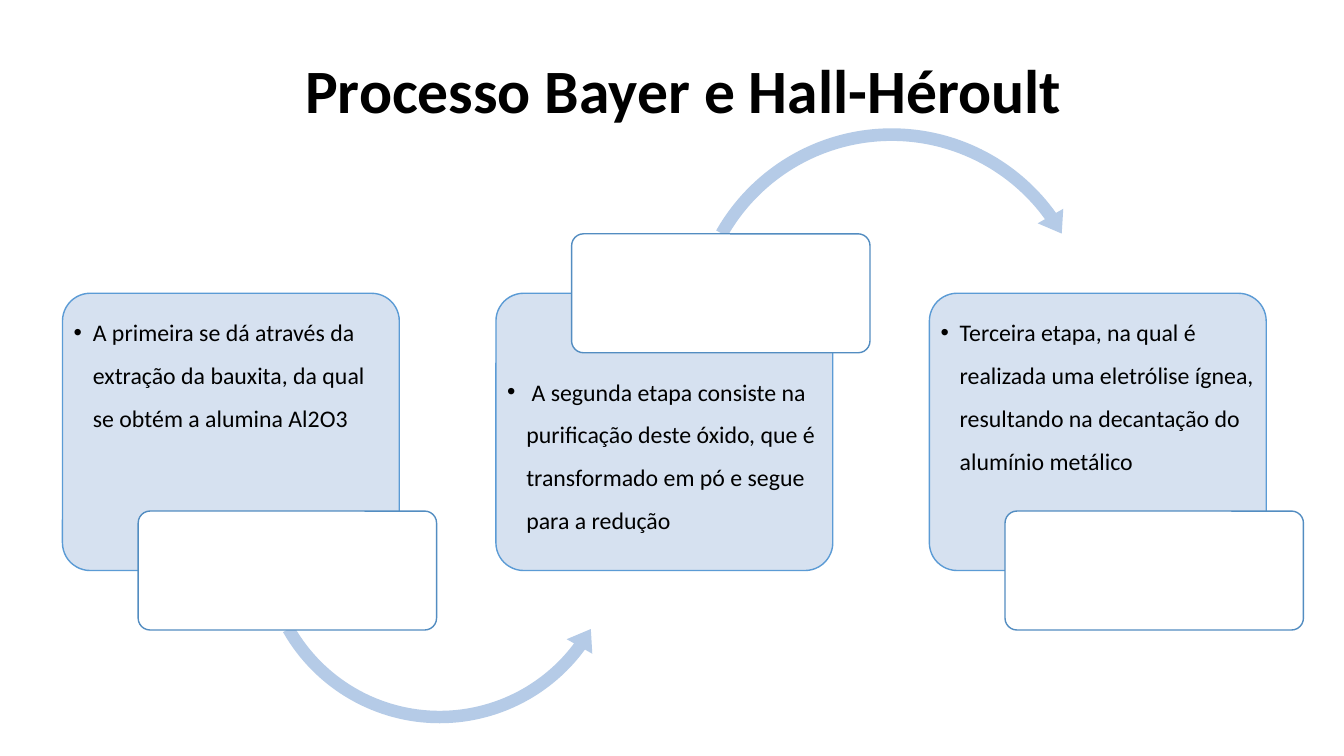
from dataclasses import dataclass

from lxml import etree
from pptx import Presentation
from pptx.dml.color import RGBColor
from pptx.enum.shapes import MSO_SHAPE
from pptx.enum.text import MSO_ANCHOR, PP_ALIGN
from pptx.oxml.ns import qn
from pptx.util import Inches, Pt

ROUNDED = MSO_SHAPE.ROUNDED_RECTANGLE
CLOCKWISE = MSO_SHAPE.CIRCULAR_ARROW
COUNTERCLOCKWISE = MSO_SHAPE.LEFT_CIRCULAR_ARROW
TOP, MIDDLE = MSO_ANCHOR.TOP, MSO_ANCHOR.MIDDLE
LEFT, CENTER = PP_ALIGN.LEFT, PP_ALIGN.CENTER

# The slide is a grid of 100 columns by 100 rows
SLIDE_WIDTH, SLIDE_HEIGHT = Inches(13.33), Inches(7.5)
FIRST_CARD, CARD_PITCH = 4.65, 32.25
CORNER = 0.1


@dataclass(frozen=True)
class Theme:
    font: str = "Calibri"
    text: str = "000000"
    card: str = "D2DEEF"
    card_line: str = "5B9BD5"
    label: str = "FFFFFF"
    label_line: str = "538DC1"
    arrow: str = "B5CBE7"
    card_opacity: int = 90
    title_size: int = 44
    body_size: int = 17
    line_width: int = 1


@dataclass(frozen=True)
class Box:
    column: float
    row: float
    columns: float
    rows: float

    def lengths(self) -> tuple[int, int, int, int]:
        return (int(SLIDE_WIDTH * self.column / 100),
                int(SLIDE_HEIGHT * self.row / 100),
                int(SLIDE_WIDTH * self.columns / 100),
                int(SLIDE_HEIGHT * self.rows / 100))


@dataclass(frozen=True)
class Arrow:
    kind: int
    box: Box
    thickness: float  # percent of the side
    head_angle: float  # degrees, like the two ends
    end_angle: float
    start_angle: float
    head_width: float  # percent of the side

    def adjustments(self) -> list[float]:
        angles = (self.head_angle, self.end_angle, self.start_angle)
        return [self.thickness / 100, *(angle * 0.6 for angle in angles),
                self.head_width / 100]


@dataclass(frozen=True)
class Step:
    text: str
    label_on_top: bool = False
    arrow: Arrow | None = None


THEME = Theme()
TITLE = "Processo Bayer e Hall-Héroult"
STEPS = (
    Step("A primeira se dá através da extração da bauxita, da qual se obtém "
         "a alumina Al2O3",
         arrow=Arrow(COUNTERCLOCKWISE, Box(18.68, 46.93, 28.06, 49.87),
                     3.3, 6.85, 36.44, 150.41, 3.9)),
    Step(" A segunda etapa consiste na purificação deste óxido, que é "
         "transformado em pó e segue para a redução",
         label_on_top=True,
         arrow=Arrow(CLOCKWISE, Box(50.71, 15.87, 31.28, 55.6),
                     3, 6.1, 324.31, 209.59, 3.5)),
    Step("Terceira etapa, na qual é realizada uma eletrólise ígnea, "
         "resultando na decantação do alumínio metálico"),
)


def set_values(target, values: dict) -> None:
    for name, value in values.items():
        setattr(target, name, value)


def add_figure(slide, kind: int, box: Box, adjustments: list[float],
               fill: str, line: str | None = None, opacity: int = 100) -> None:
    shape = slide.shapes.add_shape(kind, *box.lengths())
    shape.shadow.inherit = False
    for index, value in enumerate(adjustments):
        shape.adjustments[index] = value
    shape.fill.solid()
    shape.fill.fore_color.rgb = RGBColor.from_string(fill)
    if opacity < 100:
        color = shape._element.spPr.find(f"{qn('a:solidFill')}/{qn('a:srgbClr')}")
        etree.SubElement(color, qn("a:alpha"), val=str(opacity * 1000))
    if line:
        shape.line.color.rgb = RGBColor.from_string(line)
        shape.line.width = Pt(THEME.line_width)
    else:
        shape.line.fill.background()


def add_text(slide, text: str, box: Box, frame_format: dict,
             paragraph_format: dict, font_format: dict):
    frame = slide.shapes.add_textbox(*box.lengths()).text_frame
    set_values(frame, {"word_wrap": True, **frame_format})
    paragraph = frame.paragraphs[0]
    set_values(paragraph, paragraph_format)
    run = paragraph.add_run()
    run.text = text
    set_values(run.font, {"name": THEME.font, **font_format})
    run.font.color.rgb = RGBColor.from_string(THEME.text)
    return paragraph


def add_bullet(paragraph) -> None:
    properties = paragraph._p.get_or_add_pPr()
    indent = Inches(0.19)
    properties.set("marL", str(indent))
    properties.set("indent", str(-indent))
    etree.SubElement(properties, qn("a:buFont"), typeface="Arial")
    etree.SubElement(properties, qn("a:buChar"), char="•")


def add_step(slide, step: Step, column: float) -> None:
    # Card and its text
    add_figure(slide, ROUNDED, Box(column, 38.8, 25.06, 36.67), [CORNER],
               THEME.card, THEME.card_line, THEME.card_opacity)
    text_row, label_row = (47.47, 30.93) if step.label_on_top else (39.6, 67.6)
    margins = dict.fromkeys(
        ("margin_left", "margin_top", "margin_right", "margin_bottom"), Inches(0.04))
    paragraph = add_text(slide, step.text, Box(column + 0.53, text_row, 24.08, 27.07),
                         {**margins, "vertical_anchor": TOP},
                         {"alignment": LEFT, "line_spacing": 1.5},
                         {"size": Pt(THEME.body_size)})
    add_bullet(paragraph)

    # Arrow to the next step, tucked behind the label
    if step.arrow:
        add_figure(slide, step.arrow.kind, step.arrow.box,
                   step.arrow.adjustments(), THEME.arrow)
    add_figure(slide, ROUNDED, Box(column + 5.63, label_row, 22.2, 15.73), [CORNER],
               THEME.label, THEME.label_line)


def main() -> None:
    presentation = Presentation()
    set_values(presentation, {"slide_width": SLIDE_WIDTH, "slide_height": SLIDE_HEIGHT})
    slide = presentation.slides.add_slide(presentation.slide_layouts[6])

    # Process steps
    for index, step in enumerate(STEPS):
        add_step(slide, step, FIRST_CARD + index * CARD_PITCH)

    # Title
    add_text(slide, TITLE, Box(7.73, 2.67, 86.27, 19.33),
             {"vertical_anchor": MIDDLE},
             {"alignment": CENTER, "line_spacing": 0.9},
             {"size": Pt(THEME.title_size), "bold": True})
    presentation.save("out.pptx")


if __name__ == "__main__":
    main()
